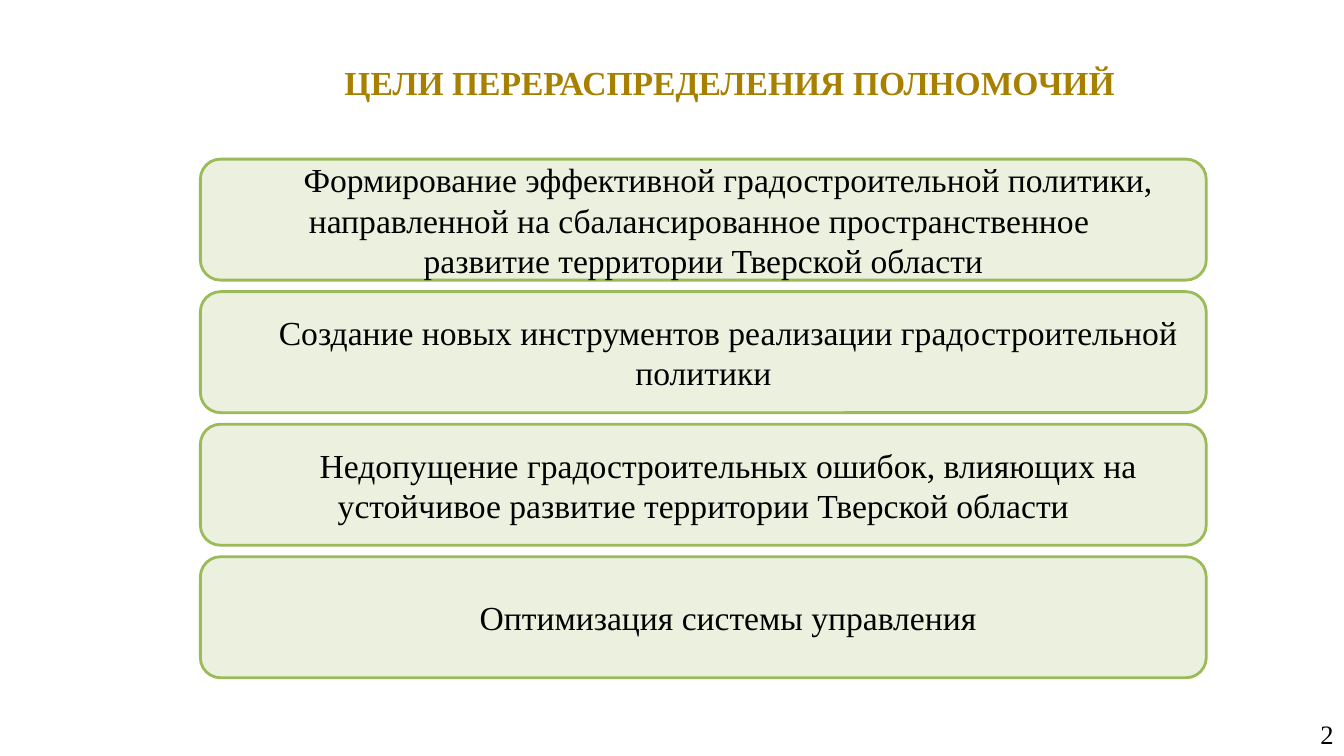
from dataclasses import dataclass

from pptx import Presentation
from pptx.dml.color import RGBColor
from pptx.enum.shapes import MSO_SHAPE
from pptx.enum.text import MSO_ANCHOR, PP_ALIGN
from pptx.util import Cm, Pt

ROUNDED = MSO_SHAPE.ROUNDED_RECTANGLE
TOP, MIDDLE = MSO_ANCHOR.TOP, MSO_ANCHOR.MIDDLE
CENTER, RIGHT = PP_ALIGN.CENTER, PP_ALIGN.RIGHT

HEADING = "ЦЕЛИ ПЕРЕРАСПРЕДЕЛЕНИЯ ПОЛНОМОЧИЙ"
GOALS = [
    "Формирование эффективной градостроительной политики, "
    "направленной на сбалансированное пространственное \n"
    "развитие территории Тверской области",
    "Создание новых инструментов реализации градостроительной политики",
    "Недопущение градостроительных ошибок, влияющих на "
    "устойчивое развитие территории Тверской области",
    "Оптимизация системы управления",
]
GOAL_LEFT, GOAL_TOP, GOAL_WIDTH, GOAL_HEIGHT = 5.05, 4.01, 25.35, 3.05
GOAL_PITCH = 3.34


@dataclass(frozen=True)
class Theme:
    font: str = "Times New Roman"
    text: RGBColor = RGBColor(0x00, 0x00, 0x00)
    heading: RGBColor = RGBColor(0xA8, 0x80, 0x00)
    goal_fill: RGBColor = RGBColor(0xEB, 0xF1, 0xDE)
    goal_line: RGBColor = RGBColor(0x9B, 0xBB, 0x59)
    body_size: Pt = Pt(24)
    number_size: Pt = Pt(19)
    line_width: Pt = Pt(2)
    first_line_indent: Cm = Cm(1.25)


class SlideBuilder:
    def __init__(self, slide, theme):
        self.slide = slide
        self.theme = theme

    def set_text(self, frame, text, size, color, align, anchor, bold=False):
        """Fill a text frame with one styled paragraph and return it."""
        frame.word_wrap = True
        frame.vertical_anchor = anchor
        paragraph = frame.paragraphs[0]
        paragraph.text = text
        paragraph.alignment = align
        for run in paragraph.runs:
            run.font.name = self.theme.font
            run.font.size = size
            run.font.bold = bold
            run.font.color.rgb = color
        return paragraph

    def pad(self, frame):
        frame.margin_left = frame.margin_right = Cm(0.34)
        frame.margin_top = frame.margin_bottom = Cm(0.17)

    def heading(self, text):
        box = self.slide.shapes.add_textbox(Cm(3.66), Cm(0.86), Cm(29.46), Cm(2.41))
        self.pad(box.text_frame)
        self.set_text(box.text_frame, text, self.theme.body_size,
                      self.theme.heading, CENTER, MIDDLE, bold=True)

    def goal(self, text, top):
        card = self.slide.shapes.add_shape(
            ROUNDED, Cm(GOAL_LEFT), Cm(top), Cm(GOAL_WIDTH), Cm(GOAL_HEIGHT))
        card.shadow.inherit = False
        card.fill.solid()
        card.fill.fore_color.rgb = self.theme.goal_fill
        card.line.color.rgb = self.theme.goal_line
        card.line.width = self.theme.line_width
        self.pad(card.text_frame)
        paragraph = self.set_text(card.text_frame, text, self.theme.body_size,
                                  self.theme.text, CENTER, MIDDLE)
        properties = paragraph._p.get_or_add_pPr()
        properties.set("marL", "0")
        properties.set("indent", str(int(self.theme.first_line_indent)))

    def page_number(self, number):
        box = self.slide.shapes.add_textbox(Cm(25.96), Cm(17.96), Cm(7.9), Cm(1.02))
        self.set_text(box.text_frame, str(number), self.theme.number_size,
                      self.theme.text, RIGHT, TOP)


def main():
    presentation = Presentation()
    presentation.slide_width = Cm(33.87)
    presentation.slide_height = Cm(19.05)
    blank = presentation.slide_layouts[6]
    builder = SlideBuilder(presentation.slides.add_slide(blank), Theme())

    builder.page_number(2)
    builder.heading(HEADING)
    for index, goal in enumerate(GOALS):
        builder.goal(goal, GOAL_TOP + index * GOAL_PITCH)

    presentation.save("out.pptx")


if __name__ == "__main__":
    main()
